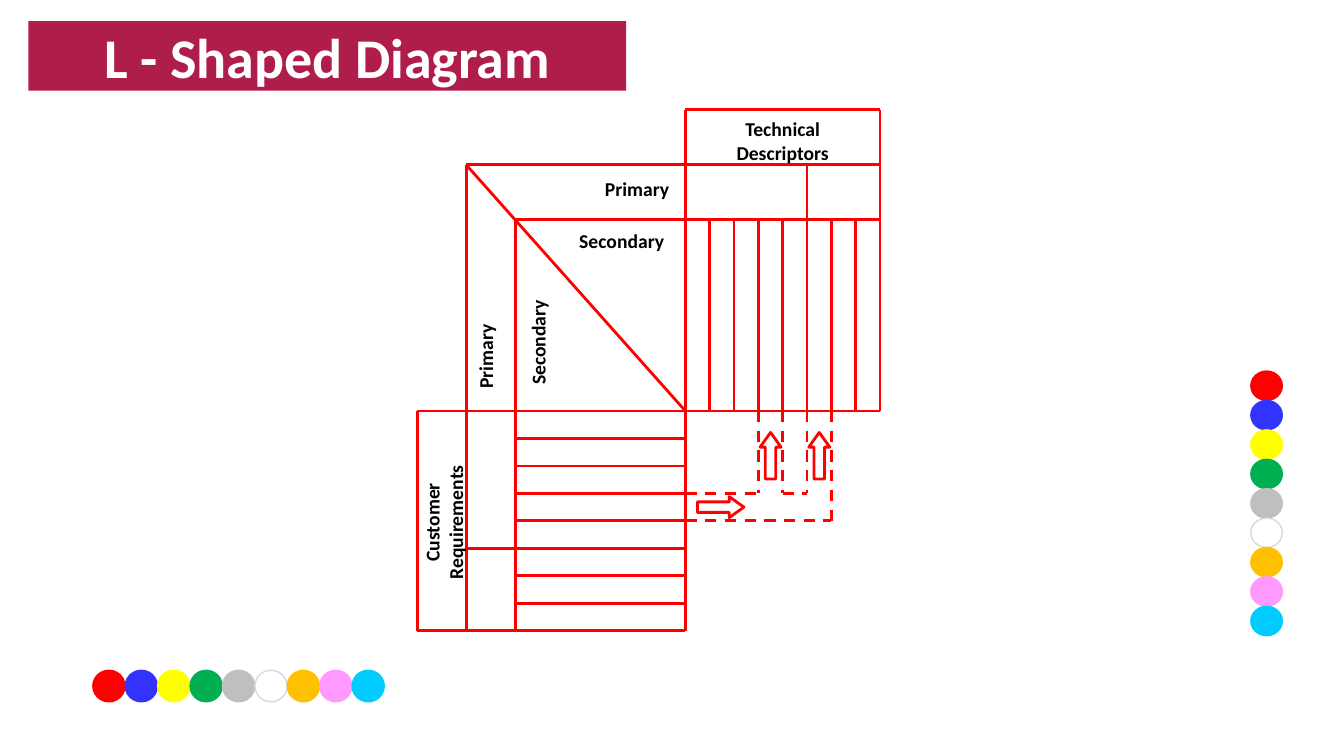
from lxml import etree
from pptx import Presentation
from pptx.dml.color import RGBColor
from pptx.enum import dml, shapes, text
from pptx.oxml import ns
from pptx.util import Pt

HUES = {
    "red": "FF0000", "blue": "3333FF", "yellow": "FFFF00", "green": "00B050",
    "grey": "BFBFBF", "white": "FFFFFF", "amber": "FFC000", "pink": "FF99FF",
    "sky": "00CCFF", "rim": "D9D9D9", "wine": "AF1D4A", "black": "000000",
}
DOTS = ("red", "blue", "yellow", "green", "grey", "white", "amber", "pink", "sky")
KIND = shapes.MSO_SHAPE
COUNT = 8                  # columns and rows in the two lists
SPLIT = 5                  # first list item of the second primary group
COL, ROW = 17.38, 19.62    # list item pitch
STEP, RISE = 35, 39.25     # depth of one heading level, across and down


def rgb(name):
    return RGBColor.from_string(HUES[name])


def write(shape, words, size=14, color="black", wrap=True, inset=(7.2, 3.6),
          anchor=text.MSO_ANCHOR.TOP):
    frame = shape.text_frame
    frame.word_wrap = wrap
    frame.vertical_anchor = anchor
    frame.margin_left = frame.margin_right = Pt(inset[0])
    frame.margin_top = frame.margin_bottom = Pt(inset[1])
    para = frame.paragraphs[0]
    para.alignment = text.PP_ALIGN.CENTER
    run = para.add_run()
    run.text = words
    run.font.name = "Calibri"
    run.font.size = Pt(size)
    run.font.bold = True
    run.font.color.rgb = rgb(color)


def label(slide, words, cx, cy, w, h, turn=0, **form):
    """Place text by the centre of its box, before rotation."""
    box = slide.shapes.add_textbox(Pt(cx - w / 2), Pt(cy - h / 2), Pt(w), Pt(h))
    box.rotation = turn
    write(box, words, **form)


def draw(slide, kind, x, y, w, h, fill=None, edge=None, weight=1):
    shape = slide.shapes.add_shape(kind, Pt(x), Pt(y), Pt(w), Pt(h))
    shape.shadow.inherit = False
    if fill:
        shape.fill.solid()
        shape.fill.fore_color.rgb = rgb(fill)
    else:
        shape.fill.background()
    if edge:
        shape.line.color.rgb = rgb(edge)
        shape.line.width = Pt(weight)
    else:
        shape.line.fill.background()
    return shape


def rule(slide, x1, y1, x2, y2, dash=False):
    line = slide.shapes.add_connector(
        shapes.MSO_CONNECTOR.STRAIGHT, Pt(x1), Pt(y1), Pt(x2), Pt(y2))
    line.line.color.rgb = rgb("red")
    line.line.width = Pt(2)
    if dash:
        line.line.dash_style = dml.MSO_LINE.DASH
    etree.SubElement(line._element.spPr, ns.qn("a:effectLst"))


def dots(slide, x, y, w, h, dx=0, dy=0, turn=0):
    """Draw the colour dots from a first box, stepping by dx and dy."""
    for i, hue in enumerate(DOTS):
        edge = "rim" if hue == "white" else hue
        dot = draw(slide, KIND.FLOWCHART_CONNECTOR, x + i * dx, y + i * dy,
                   w, h, hue, edge)
        dot.rotation = turn


def banner(slide, x, y, w, h):
    bar = draw(slide, KIND.RECTANGLE, x, y, w, h, "wine")
    write(bar, "L - Shaped Diagram", size=40, color="white", inset=(0, 0.7),
          anchor=text.MSO_ANCHOR.MIDDLE)


def needs(slide, x, y, w, h):
    """Customer requirements: two heading columns, then the rows."""
    right, foot, list_x = x + w, y + h, x + 2 * STEP
    for edge in (x, x + STEP, list_x, right):
        rule(slide, edge, y, edge, foot)
    for edge in (y, foot):
        rule(slide, x, edge, right, edge)
    for i in range(1, COUNT):
        rule(slide, list_x, y + i * ROW, right, y + i * ROW)
    rule(slide, x + STEP, y + SPLIT * ROW, list_x, y + SPLIT * ROW)
    label(slide, "Customer Requirements", x + 19, y + h / 2 + 1, 150.5, 41,
          turn=270)


def traits(slide, x, y, w, h):
    """Technical descriptors: two heading rows, then the columns."""
    right, foot, list_y = x + w, y + h, y + 2 * RISE
    for edge in (y, y + RISE, list_y, foot):
        rule(slide, x, edge, right, edge)
    for edge in (x, right):
        rule(slide, edge, y, edge, foot)
    for i in range(1, COUNT):
        rule(slide, x + i * COL, list_y, x + i * COL, foot)
    rule(slide, x + SPLIT * COL, y + RISE, x + SPLIT * COL, list_y)
    label(slide, "Technical Descriptors", x + w / 2, y + 22, 120.2, 41)


def corner(slide, x, y, w, h):
    """Heading bands that meet along the diagonal."""
    right, foot = x + w, y + h
    for dx, dy in ((0, 0), (STEP, RISE)):
        rule(slide, x + dx, y + dy, x + dx, foot)
        rule(slide, x + dx, y + dy, right, y + dy)
    rule(slide, x, y, right, foot)
    for words, cx, cy, wide, turn in (
            ("Primary", right - 34.5, y + 17, 69, 0),
            ("Primary", x + 14, foot - 39, 69, 270),
            ("Secondary", right - 45.5, y + 54.5, 86.4, 0),
            ("Secondary", x + 51.5, foot - 49, 86.4, 270)):
        label(slide, words, cx, cy, wide, 24.5, turn, wrap=False)


def flow(slide, x, y, w, h):
    """Dashed paths from one row up to two columns."""
    right, foot, top = x + w, y + h, y + h - ROW
    c3, c4, c5 = (x + i * COL for i in (3, 4, 5))
    for ends in ((x, foot, right, foot), (right, y, right, foot),
                 (x, top, c3, top), (c4, top, c5, top),
                 (c3, y, c3, top), (c4, y, c4, top), (c5, y, c5, top)):
        rule(slide, *ends, dash=True)
    long, thin = 33.2, 15
    signs = [draw(slide, KIND.RIGHT_ARROW, x + 8.6, foot - ROW / 2 - thin / 2,
                  long, thin, None, "red", 2)]
    for left in (c3, c5):
        signs.append(draw(slide, KIND.UP_ARROW, left + COL / 2 - thin / 2,
                          y + 15.3, thin, long, None, "red", 2))
    for sign in signs:
        sign.adjustments[1] = 0.7


def main():
    deck = Presentation()
    deck.slide_width, deck.slide_height = Pt(960), Pt(540)
    slide = deck.slides.add_slide(deck.slide_layouts[6])
    dots(slide, 894.2, 264.3, 21, 22.5, dy=21, turn=90)
    dots(slide, 66.3, 478.8, 23, 22.5, dx=23.15)
    banner(slide, 20.2, 15.1, 427, 49.7)
    x, y = 489.6, 293.6    # the inner corner of the L
    wide, high = 191.6, 215.1
    needs(slide, x - wide, y, wide, COUNT * ROW)
    traits(slide, x, y - high, COUNT * COL, high)
    corner(slide, x - wide + STEP, y - high + RISE, wide - STEP, high - RISE)
    flow(slide, x, y, 6 * COL, 4 * ROW)
    deck.save("out.pptx")


if __name__ == "__main__":
    main()
